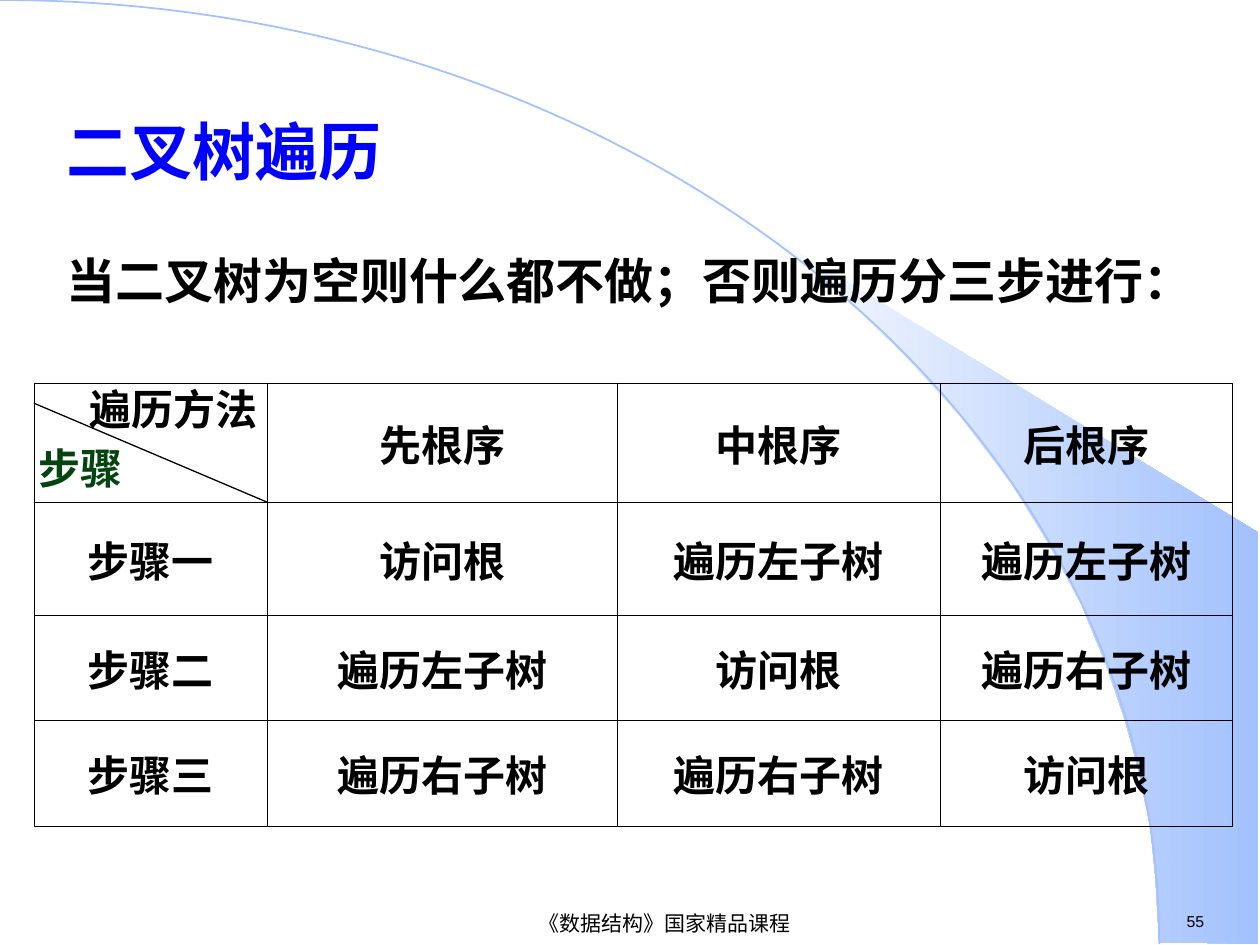
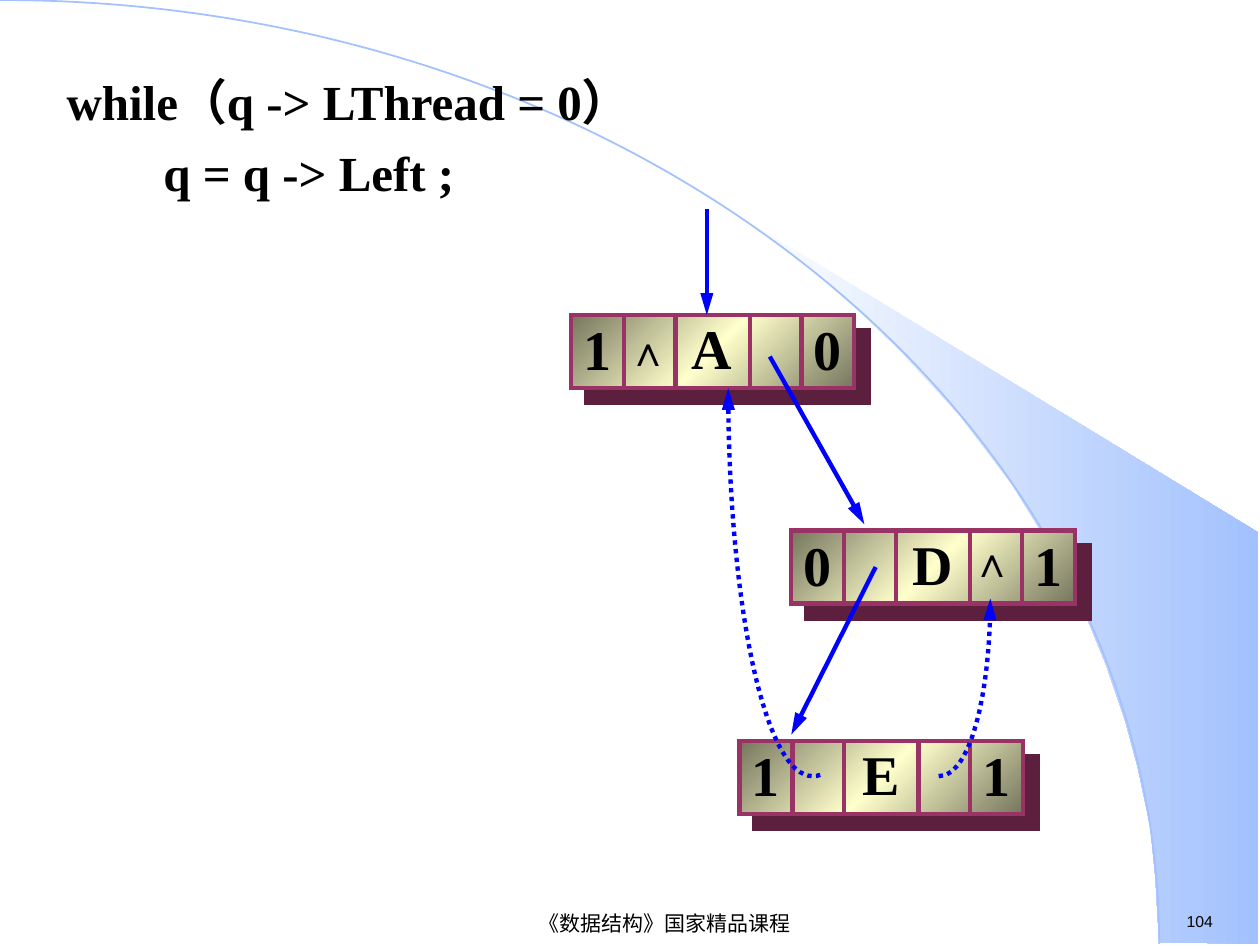
from copy import deepcopy
from dataclasses import dataclass

from lxml.etree import SubElement
from pptx import Presentation
from pptx.dml.color import RGBColor
from pptx.enum.dml import MSO_LINE
from pptx.enum.shapes import MSO_CONNECTOR, MSO_SHAPE
from pptx.enum.text import MSO_ANCHOR, PP_ALIGN
from pptx.oxml.ns import qn
from pptx.util import Inches, Pt


@dataclass(frozen=True)
class Theme:
    """Colours, fonts and type sizes shared by the slides."""

    black: str = "000000"
    blue: str = "0000FF"
    green: str = "04440F"
    white: str = "FFFFFF"
    sky: str = "A2C1FE"
    node_dark: str = "76765E"
    node_light: str = "FFFFCC"
    node_line: str = "993366"
    node_shadow: str = "5C1F3D"
    serif: str = "Times New Roman"
    sans: str = "Arial"
    title: int = 36
    node: int = 32
    body: int = 28
    table: int = 24
    footer: int = 12
    number: int = 9


THEME = Theme()
FOOTER = "《数据结构》国家精品课程"
BAND = [
    (9.2, 7.48), (9.99, 7.49), (9.99, 4.23), (5.89, 1.73), (6.24, 1.99), (6.53, 2.22),
    (6.85, 2.5), (7.16, 2.8), (7.62, 3.3), (8.03, 3.84), (8.32, 4.31), (8.58, 4.79),
    (8.78, 5.28), (8.93, 5.72), (9.03, 6.09), (9.13, 6.56), (9.17, 6.96),
]
ARC = [(0, 0), (5.08, 0), (9.2, 3.35), (9.2, 7.49)]
TRAVERSAL_ROWS = [
    ["", "先根序", "中根序", "后根序"],
    ["步骤一", "访问根", "遍历左子树", "遍历左子树"],
    ["步骤二", "遍历左子树", "访问根", "遍历右子树"],
    ["步骤三", "遍历右子树", "遍历右子树", "访问根"],
]
COLUMN_WIDTHS = [1.85, 2.78, 2.56, 2.32]
ROW_HEIGHTS = [0.95, 0.89, 0.84, 0.84]
NODE_SIZE = (2.25, 0.58)
FIELD_EDGES = [0.42, 0.83, 1.42, 1.83]
NODES = [
    (4.53, 2.5, "1", "A", "0"),
    (6.28, 4.21, "0", "D", "1"),
    (5.87, 5.88, "1", "E", "1"),
]
LINKS = [
    ((6.11, 2.83), (6.86, 4.16)),
    ((6.95, 4.5), (6.28, 5.83)),
    ((5.61, 1.66), (5.61, 2.5)),
]
THREADS = [
    [(6.51, 6.15), (6.49, 6.16), (6.47, 6.16), (6.45, 6.16),
     (6.08, 6.16), (5.78, 4.78), (5.78, 3.08)],
    [(7.45, 6.16), (7.68, 6.16), (7.86, 5.53), (7.86, 4.75)],
]
NULL_MARKS = [(4.88, 2.53), (7.61, 4.2)]


def apply_format(target, **values):
    """Set each named attribute on the target."""
    for name, value in values.items():
        setattr(target, name, value)


def write_text(paragraph, text, size, color=THEME.black, name=THEME.serif, bold=True, **layout):
    """Put one formatted run in a paragraph."""
    apply_format(paragraph, **layout)
    run = paragraph.add_run()
    run.text = text
    apply_format(run.font, name=name, size=Pt(size), bold=bold)
    run.font.color.rgb = RGBColor.from_string(color)


def add_text(slide, box, text, size, inset=(0.1, 0.05), anchor=MSO_ANCHOR.TOP, **style):
    """Add a wrapped text box with one paragraph and return its frame."""
    frame = slide.shapes.add_textbox(*map(Inches, box)).text_frame
    set_frame(frame, inset, anchor)
    write_text(frame.paragraphs[0], text, size, **style)
    return frame


def set_frame(frame, inset=(0.1, 0.05), anchor=MSO_ANCHOR.TOP):
    """Set the wrapping, anchor and margins of a text frame."""
    side, edge = map(Inches, inset)
    apply_format(frame, word_wrap=True, vertical_anchor=anchor, margin_left=side,
                 margin_right=side, margin_top=edge, margin_bottom=edge)


def set_gradient(shape, colors, angle):
    """Fill a shape with evenly spaced gradient colours."""
    shape.fill.gradient()
    shape.fill.gradient_angle = angle
    stop_list = shape.element.spPr.find(".//" + qn("a:gsLst"))
    while len(stop_list) < len(colors):
        stop_list.append(deepcopy(stop_list[0]))
    for index, (stop, color) in enumerate(zip(shape.fill.gradient_stops, colors)):
        stop.position = index / (len(colors) - 1)
        stop.color.rgb = RGBColor.from_string(color)


def set_line(shape, color, width, arrow=False):
    """Colour a sharp-cornered outline and optionally end it with an arrowhead."""
    shape.line.color.rgb = RGBColor.from_string(color)
    shape.line.width = Pt(width)
    outline = shape.element.spPr.find(qn("a:ln"))
    SubElement(outline, qn("a:miter"), lim="800000")
    if arrow:
        SubElement(outline, qn("a:tailEnd"), type="triangle", w="med", len="lg")


def add_line(slide, start, end, color, width, arrow=False):
    """Add a straight connector between two points."""
    connector = slide.shapes.add_connector(
        MSO_CONNECTOR.STRAIGHT, *map(Inches, (*start, *end)))
    set_line(connector, color, width, arrow)
    SubElement(connector.element.spPr, qn("a:effectLst"))


def add_outline(slide, points, close):
    """Add a freeform through the points, without a shadow."""
    start, *others = [(Inches(x), Inches(y)) for x, y in points]
    builder = slide.shapes.build_freeform(*start)
    builder.add_line_segments(others, close=close)
    shape = builder.convert_to_shape()
    shape.shadow.inherit = False
    return shape


def add_curve(slide, controls, color, width, arrow=False):
    """Add an unfilled chain of cubic curves given by 3n + 1 control points."""
    curve = add_outline(slide, controls, close=False)
    outline = curve.element.spPr.find(".//" + qn("a:path"))
    segments = outline.findall(qn("a:lnTo"))
    for first in range(0, len(segments), 3):
        cubic = SubElement(outline, qn("a:cubicBezTo"))
        for segment in segments[first:first + 3]:
            cubic.append(segment[0])
            outline.remove(segment)
    curve.fill.background()
    set_line(curve, color, width, arrow)
    return curve


def add_frame(slide, number):
    """Add the sweeping band, the footer and the page number."""
    band = add_outline(slide, BAND, close=True)
    set_gradient(band, [THEME.white, THEME.sky], 0)
    band.line.fill.background()
    add_curve(slide, ARC, THEME.sky, 1)
    add_text(slide, (9.32, 7.19, 0.77, 0.25), str(number), THEME.number,
             name=THEME.sans, bold=False)
    add_text(slide, (2.4, 7.21, 5.75, 0.24), FOOTER, THEME.footer, name=THEME.sans,
             bold=False, anchor=MSO_ANCHOR.MIDDLE, alignment=PP_ALIGN.CENTER)


def set_title(slide, box, text):
    """Move and format the title placeholder."""
    title = slide.shapes.title
    left, top, width, height = map(Inches, box)
    apply_format(title, left=left, top=top, width=width, height=height)
    set_frame(title.text_frame)
    write_text(title.text_frame.paragraphs[0], text, THEME.title, THEME.blue,
               alignment=PP_ALIGN.LEFT)


def set_borders(cell):
    """Draw a thin black line on each side of a cell."""
    properties = cell._tc.get_or_add_tcPr()
    for side in ("lnL", "lnR", "lnT", "lnB"):
        border = SubElement(properties, qn(f"a:{side}"), w=str(Pt(0.45)))
        fill = SubElement(border, qn("a:solidFill"))
        SubElement(fill, qn("a:srgbClr"), val=THEME.black)


def add_traversal_table(slide):
    """Add the bordered table of traversal steps."""
    table = slide.shapes.add_table(
        len(ROW_HEIGHTS), len(COLUMN_WIDTHS), Inches(0.27), Inches(3.04),
        Inches(sum(COLUMN_WIDTHS)), Inches(sum(ROW_HEIGHTS))).table
    apply_format(table, first_row=False, horz_banding=False)
    for column, width in zip(table.columns, COLUMN_WIDTHS):
        column.width = Inches(width)
    for row, height, texts in zip(table.rows, ROW_HEIGHTS, TRAVERSAL_ROWS):
        row.height = Inches(height)
        for cell, text in zip(row.cells, texts):
            set_borders(cell)
            cell.fill.background()
            cell.vertical_anchor = MSO_ANCHOR.MIDDLE
            if text:
                write_text(cell.text_frame.paragraphs[0], text, THEME.table,
                           alignment=PP_ALIGN.CENTER)


def add_node(slide, left, top, left_flag, data, right_flag):
    """Add a five-field threaded tree node."""
    width, height = NODE_SIZE
    box = slide.shapes.add_shape(
        MSO_SHAPE.RECTANGLE, *map(Inches, (left, top, width, height)))
    set_gradient(box, [THEME.node_dark, THEME.node_light, THEME.node_dark], 315)
    set_line(box, THEME.node_line, 2.5)
    box.shadow.inherit = False
    effects = box.element.spPr.find(qn("a:effectLst"))
    shadow = SubElement(effects, qn("a:outerShdw"), dist=str(Pt(12.1)),
                        dir="2700000", algn="ctr", rotWithShape="0")
    SubElement(shadow, qn("a:srgbClr"), val=THEME.node_shadow)
    for edge in FIELD_EDGES:
        add_line(slide, (left + edge, top), (left + edge, top + height), THEME.node_line, 2.5)
    add_text(slide, (left + FIELD_EDGES[1], top, height, height), data, THEME.node,
             alignment=PP_ALIGN.CENTER, line_spacing=0.9)
    for offset, flag in ((0, left_flag), (FIELD_EDGES[3], right_flag)):
        add_text(slide, (left + offset, top - 0.05, 0.5, 0.64), flag, THEME.node)


def build_traversal_slide(presentation):
    """Build the slide on the three traversal orders."""
    slide = presentation.slides.add_slide(presentation.slide_layouts[5])
    add_frame(slide, 55)
    set_title(slide, (0.43, 0.84, 3.31, 0.7), "二叉树遍历")
    add_text(slide, (0.43, 1.94, 9.29, 0.76),
             "当二叉树为空则什么都不做；否则遍历分三步进行：", THEME.body)
    add_text(slide, (0.67, 3.04, 1.42, 0.35), "遍历方法", THEME.table, inset=(0, 0),
             alignment=PP_ALIGN.CENTER)
    add_text(slide, (0.2, 3.51, 0.88, 0.24), "步骤", THEME.table, inset=(0, 0),
             color=THEME.green, alignment=PP_ALIGN.CENTER)
    add_line(slide, (0.27, 3.2), (2.13, 3.99), THEME.black, 0.75)
    add_traversal_table(slide)


def build_thread_slide(presentation):
    """Build the slide on following left links in a threaded tree."""
    slide = presentation.slides.add_slide(presentation.slide_layouts[6])
    add_frame(slide, 104)
    code = add_text(slide, (0.43, 0.52, 7.68, 1.34), "while（q -> LThread = 0）", THEME.body)
    assignment = code.add_paragraph()
    properties = assignment._p.get_or_add_pPr()
    properties.set("marL", str(Inches(0.38)))
    properties.set("indent", str(Inches(-0.38)))
    write_text(assignment, "\t　q = q -> Left ;", THEME.body, space_before=Pt(7))
    for node in NODES:
        add_node(slide, *node)
    for start, end in LINKS:
        add_line(slide, start, end, THEME.blue, 2.5, arrow=True)
    for controls in THREADS:
        thread = add_curve(slide, controls, THEME.blue, 2.5, arrow=True)
        thread.line.dash_style = MSO_LINE.ROUND_DOT
    for left, top in NULL_MARKS:
        add_text(slide, (left, top, 0.5, 0.5), "∧", THEME.table)


def main():
    """Build and save the presentation."""
    presentation = Presentation()
    apply_format(presentation, slide_width=Inches(10), slide_height=Inches(7.5))
    build_traversal_slide(presentation)
    build_thread_slide(presentation)
    presentation.save("out.pptx")


if __name__ == "__main__":
    main()
